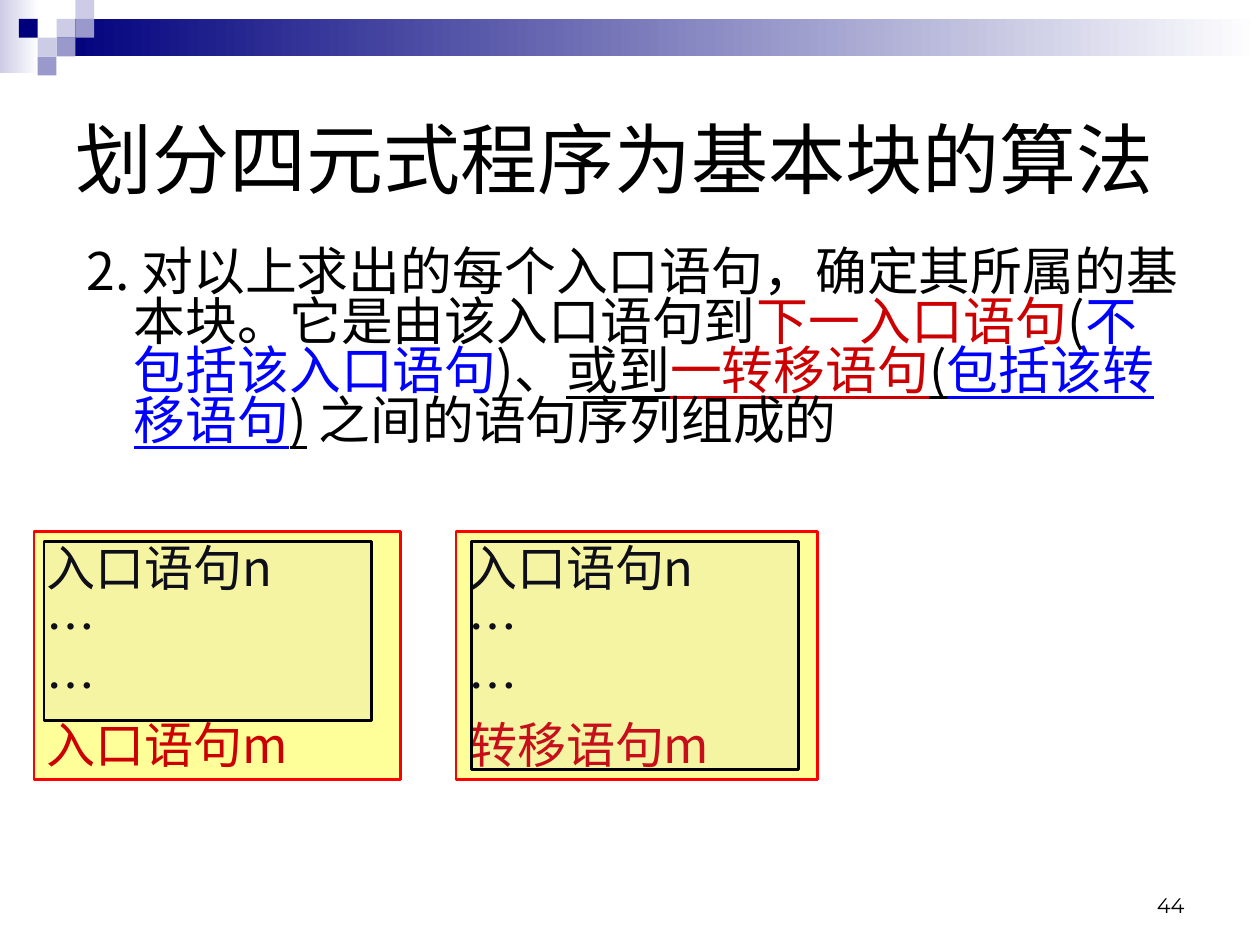
"""Slide on splitting a quadruple program into basic blocks."""
from dataclasses import dataclass
from typing import Optional

import lxml.etree
import pptx
import pptx.dml.color
import pptx.enum.shapes
import pptx.enum.text
import pptx.oxml.ns
import pptx.util

Cm, Pt = pptx.util.Cm, pptx.util.Pt
ANCHOR = pptx.enum.text.MSO_ANCHOR
ALIGN = pptx.enum.text.PP_ALIGN
CHINESE = "Noto Sans CJK SC"
BLACK, RED, BLUE = "000000", "CC0000", "0000FF"
NAVY, LAVENDER, VIOLET = "00007D", "CCCCE6", "9999CC"
CELL = 0.38


@dataclass
class Box:
    left: float
    top: float
    width: float
    height: float


@dataclass
class Phrase:
    text: str
    color: str = BLACK
    underline: bool = False


@dataclass
class Block:
    frame: Box
    inner: Box
    last_line: str


MOSAIC = [(3, 1, LAVENDER), (4, 0, LAVENDER), (4, 1, VIOLET), (2, 2, LAVENDER),
          (1, 1, NAVY), (3, 2, VIOLET), (2, 3, VIOLET)]
BANDS = [(Box(0, 0, 0.79, 1.47), LAVENDER), (Box(1.14, 0.38, 24.26, 0.76), NAVY)]
RULE = [
    Phrase("2. 对以上求出的每个入口语句，确定其所属的基本块。它是由该入口语句到"),
    Phrase("下一入口语句", RED),
    Phrase("("),
    Phrase("不包括该入口语句", BLUE),
    Phrase(")、"),
    Phrase("或到", BLACK, True),
    Phrase("一转移语句", RED, True),
    Phrase("(", BLACK, True),
    Phrase("包括该转移语句", BLUE, True),
    Phrase(")", BLACK, True),
    Phrase(" 之间的语句序列组成的"),
]
BLOCKS = [
    Block(Box(0.69, 10.72, 7.39, 5), Box(0.89, 10.92, 6.6, 3.61), "入口语句m"),
    Block(Box(9.19, 10.72, 7.29, 5), Box(9.5, 10.92, 6.6, 4.6), "转移语句m"),
]


def rgb(color: str):
    return pptx.dml.color.RGBColor.from_string(color)


def place(box: Box) -> list:
    return [Cm(value) for value in (box.left, box.top, box.width, box.height)]


def add_rectangle(slide, box: Box, fill: Optional[str] = None, line: Optional[str] = None):
    shape = slide.shapes.add_shape(pptx.enum.shapes.MSO_SHAPE.RECTANGLE, *place(box))
    shape.shadow.inherit = False
    if fill:
        shape.fill.solid()
        shape.fill.fore_color.rgb = rgb(fill)
    if line:
        shape.line.color.rgb = rgb(line)
        shape.line.width = Pt(1.5)
    else:
        shape.line.fill.background()
    return shape


def add_band(slide, box: Box, color: str) -> None:
    shape = add_rectangle(slide, box)
    shape.fill.gradient()
    shape.fill.gradient_angle = 0
    for stop, stop_color in zip(shape.fill.gradient_stops, (color, "FFFFFF")):
        stop.color.rgb = rgb(stop_color)


def add_tint(slide, box: Box) -> None:
    shape = add_rectangle(slide, box, "9999FF", BLACK)
    color = shape.fill._xPr.find(".//" + pptx.oxml.ns.qn("a:srgbClr"))
    lxml.etree.SubElement(color, pptx.oxml.ns.qn("a:alpha"), val="10000")


def style(paragraph, size: float, color: Optional[str] = BLACK, name: str = CHINESE) -> None:
    font = paragraph.font
    font.size = Pt(size)
    font.name = name
    if color:
        font.color.rgb = rgb(color)
    latin = font._element.find(pptx.oxml.ns.qn("a:latin"))
    latin.addnext(latin.makeelement(pptx.oxml.ns.qn("a:ea"), {"typeface": name}))


def add_text(slide, box: Box, anchor=ANCHOR.TOP):
    frame = slide.shapes.add_textbox(*place(box)).text_frame
    frame.word_wrap = True
    frame.vertical_anchor = anchor
    return frame.paragraphs[0]


def add_rule(slide, box: Box, phrases: list[Phrase]) -> None:
    paragraph = add_text(slide, box)
    paragraph.line_spacing = 0.8
    properties = paragraph._p.get_or_add_pPr()
    properties.set("marL", str(Cm(0.95)))
    properties.set("indent", str(Cm(-0.95)))
    style(paragraph, 29.6, None)
    for phrase in phrases:
        run = paragraph.add_run()
        run.text = phrase.text
        run.font.color.rgb = rgb(phrase.color)
        if phrase.underline:
            run.font.underline = True


def add_block(slide, block: Block) -> None:
    frame = add_rectangle(slide, block.frame, "FFFF99", "FF0000").text_frame
    frame.word_wrap = True
    frame.auto_size = pptx.enum.text.MSO_AUTO_SIZE.SHAPE_TO_FIT_TEXT
    frame.vertical_anchor = ANCHOR.TOP
    lines = ["入口语句n", "…", "…", block.last_line]
    frame.text = "\n".join(lines)
    for paragraph in frame.paragraphs:
        paragraph.alignment = ALIGN.LEFT
        style(paragraph, 28, RED if paragraph.text == block.last_line else BLACK)
    add_tint(slide, block.inner)


def main() -> None:
    presentation = pptx.Presentation()
    presentation.slide_width, presentation.slide_height = Cm(25.4), Cm(19.05)
    slide = presentation.slides.add_slide(presentation.slide_layouts[6])

    for box, color in BANDS:
        add_band(slide, box, color)
    for column, row, color in MOSAIC:
        add_rectangle(slide, Box(column * CELL, row * CELL, CELL, CELL), color)

    number = add_text(slide, Box(18.21, 17.35, 5.92, 1.27), ANCHOR.BOTTOM)
    number.text = "44"
    number.alignment = ALIGN.RIGHT
    style(number, 12, name="Montserrat")

    add_rule(slide, Box(1.5, 4.93, 22.66, 4.8), RULE)
    for block in BLOCKS:
        add_block(slide, block)

    title = add_text(slide, Box(1.27, 1.27, 22.86, 3.81), ANCHOR.MIDDLE)
    title.text = "划分四元式程序为基本块的算法"
    style(title, 44)

    presentation.save("out.pptx")


if __name__ == "__main__":
    main()
